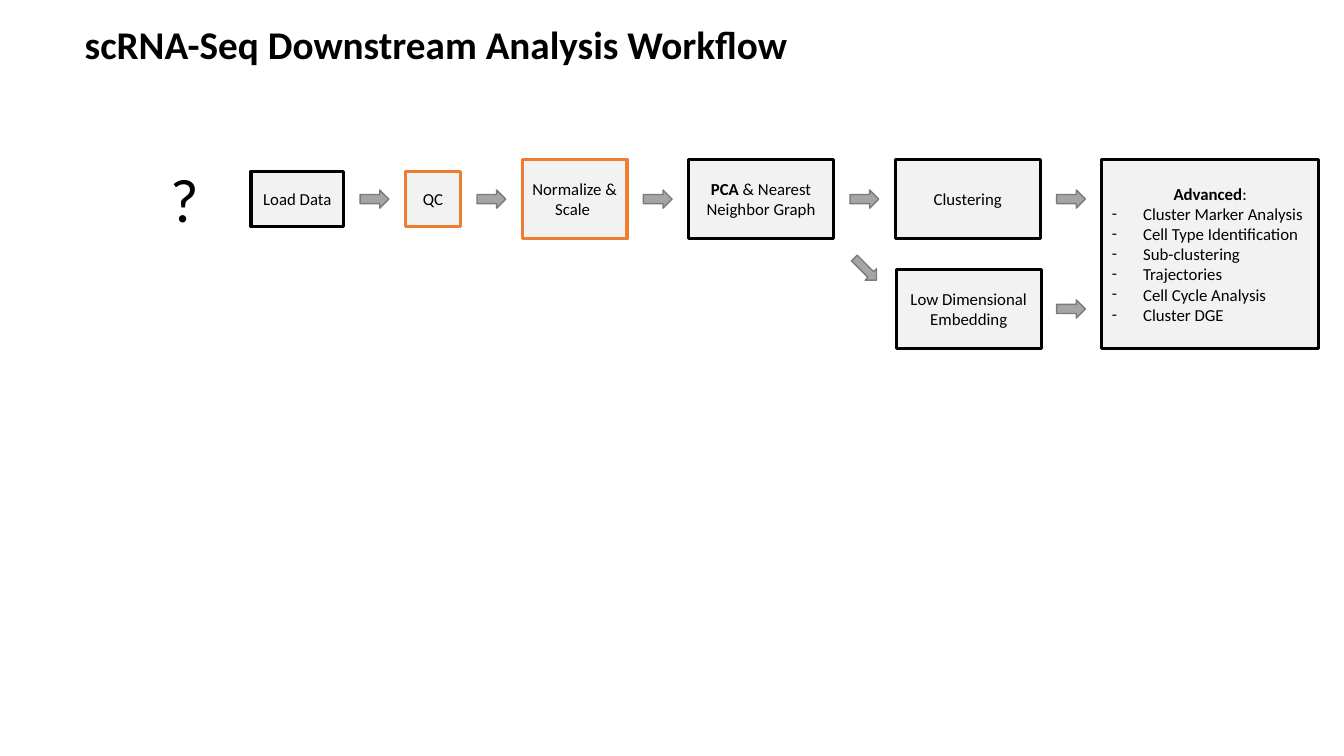
from lxml.etree import SubElement
from pptx import Presentation
from pptx.dml.color import RGBColor
from pptx.enum.shapes import MSO_SHAPE as Shape
from pptx.enum.text import MSO_ANCHOR as Anchor, MSO_AUTO_SIZE as AutoSize, PP_ALIGN as Align
from pptx.oxml.ns import qn
from pptx.util import Inches, Pt

COLUMNS, ROWS = 133.33, 75
BLACK, ORANGE = "000000", "ED7D31"
BOX_FILL, ARROW_FILL, ARROW_LINE = "F2F2F2", "A5A5A5", "7A7A7A"
GAP, ARROW_WIDTH, ARROW_HEIGHT = 6.1, 2.85, 1.8
MIDDLE_ROW, LOWER_ROW = 19.75, 30.65
WIDE, TALL = 14.4, 7.9


def color(value):
    """Turn a hex string into a colour."""
    return RGBColor.from_string(value)


class WorkflowSlide:
    """Style and current slide, measured in grid columns and rows."""

    def __init__(self, presentation, font="Calibri"):
        """Add a slide with a title and a list placeholder."""
        self.column = presentation.slide_width / COLUMNS
        self.row = presentation.slide_height / ROWS
        self.font = font
        self.slide = presentation.slides.add_slide(presentation.slide_layouts[1])

    def frame(self, left, top, width, height):
        """Convert grid units to slide lengths."""
        return (round(left * self.column), round(top * self.row),
                round(width * self.column), round(height * self.row))

    def place(self, shape, *frame):
        """Move a placeholder to a grid frame."""
        shape.left, shape.top, shape.width, shape.height = self.frame(*frame)

    def paint(self, shape, fill, line, weight):
        """Set the fill and outline of a shape."""
        shape.fill.solid()
        shape.fill.fore_color.rgb = color(fill)
        shape.line.color.rgb = color(line)
        shape.line.width = Pt(weight)

    def add_runs(self, paragraph, runs, size, align):
        """Add (text, bold) runs to a paragraph."""
        paragraph.alignment = align
        paragraph.space_before = Pt(0)
        for text, bold in runs:
            run = paragraph.add_run()
            run.text = text
            run.font.name, run.font.size, run.font.bold = self.font, Pt(size), bold
            run.font.color.rgb = color(BLACK)

    def label(self, shape, text, size, bold=False):
        """Set one unwrapped line that its frame fits."""
        text_frame = shape.text_frame
        text_frame.word_wrap = False
        text_frame.auto_size = AutoSize.SHAPE_TO_FIT_TEXT
        text_frame.vertical_anchor = Anchor.TOP
        self.add_runs(text_frame.paragraphs[0], [(text, bold)], size, Align.LEFT)

    def title(self, text, *frame):
        """Fill the title placeholder."""
        shape = self.slide.shapes.title
        self.place(shape, *frame)
        self.label(shape, text, 28, True)

    def text(self, text, size, *frame):
        """Add a free line of text."""
        self.label(self.slide.shapes.add_textbox(*self.frame(*frame)), text, size)

    def box(self, runs, left, middle, width, height, line=BLACK):
        """Add a workflow step centred on a row."""
        frame = self.frame(left, middle - height / 2, width, height)
        shape = self.slide.shapes.add_shape(Shape.RECTANGLE, *frame)
        shape.shadow.inherit = False
        self.paint(shape, BOX_FILL, line, 2.25)
        shape.text_frame.word_wrap = True
        shape.text_frame.vertical_anchor = Anchor.MIDDLE
        self.add_runs(shape.text_frame.paragraphs[0], runs, 12, Align.CENTER)

    def arrow(self, center, middle, width=ARROW_WIDTH, height=ARROW_HEIGHT, rotation=0):
        """Add a block arrow around a centre point."""
        frame = self.frame(center - width / 2, middle - height / 2, width, height)
        shape = self.slide.shapes.add_shape(Shape.RIGHT_ARROW, *frame)
        shape.shadow.inherit = False
        shape.rotation = rotation
        self.paint(shape, ARROW_FILL, ARROW_LINE, 1)

    def bullets(self, heading, items, *frame):
        """Fill the list placeholder with a heading and dashed items."""
        shape = self.slide.placeholders[1]
        self.place(shape, *frame)
        self.paint(shape, BOX_FILL, BLACK, 2.25)
        text_frame = shape.text_frame
        text_frame.word_wrap = True
        text_frame.auto_size = AutoSize.NONE
        text_frame.vertical_anchor = Anchor.MIDDLE
        paragraph = text_frame.paragraphs[0]
        self.add_runs(paragraph, heading, 12, Align.CENTER)
        self.bullet(paragraph, 0)
        for item in items:
            paragraph = text_frame.add_paragraph()
            self.add_runs(paragraph, [(item, False)], 12, Align.LEFT)
            self.bullet(paragraph, Inches(0.31), "-")

    def bullet(self, paragraph, indent, mark=None):
        """Set the hanging indent and bullet mark of a paragraph."""
        properties = paragraph._p.get_or_add_pPr()
        properties.set("marL", str(indent))
        properties.set("indent", str(-indent))
        if mark:
            SubElement(properties, qn("a:buFont"), typeface=self.font)
            SubElement(properties, qn("a:buChar"), char=mark)
        else:
            SubElement(properties, qn("a:buNone"))


def main():
    """Build the workflow slide."""
    presentation = Presentation()
    presentation.slide_width, presentation.slide_height = Inches(13.33), Inches(7.5)
    workflow = WorkflowSlide(presentation)
    workflow.title("scRNA-Seq Downstream Analysis Workflow", 7.4, 1.5, 72.6, 5.7)
    workflow.text("?", 44, 15.9, 15.5, 4.9, 8.4)

    steps = [
        ([("Load Data", False)], 9.2, 5.5, BLACK),
        ([("QC", False)], 5.5, 5.5, ORANGE),
        ([("Normalize & Scale ", False)], 10.4, TALL, ORANGE),
        ([("PCA", True), (" & Nearest Neighbor Graph", False)], WIDE, TALL, BLACK),
        ([("Clustering", False)], WIDE, TALL, BLACK),
    ]
    left = 24.9
    for runs, width, height, line in steps:
        workflow.box(runs, left, MIDDLE_ROW, width, height, line)
        workflow.arrow(left + width + GAP / 2, MIDDLE_ROW)
        left += width + GAP

    branch_left = left - GAP - WIDE
    workflow.box([("Low Dimensional Embedding", False)], branch_left + 0.1, LOWER_ROW, WIDE, TALL)
    workflow.arrow(branch_left - 2.95, 26.7, 3.1, 1.6, 45)
    workflow.arrow(left - GAP / 2, LOWER_ROW)

    top = MIDDLE_ROW - TALL / 2
    workflow.bullets(
        [("Advanced", True), (":", False)],
        ["Cluster Marker Analysis", "Cell Type Identification", "Sub-clustering",
         "Trajectories", "Cell Cycle Analysis", "Cluster DGE"],
        left, top, 21.5, LOWER_ROW + TALL / 2 - top)
    presentation.save("out.pptx")


if __name__ == "__main__":
    main()
